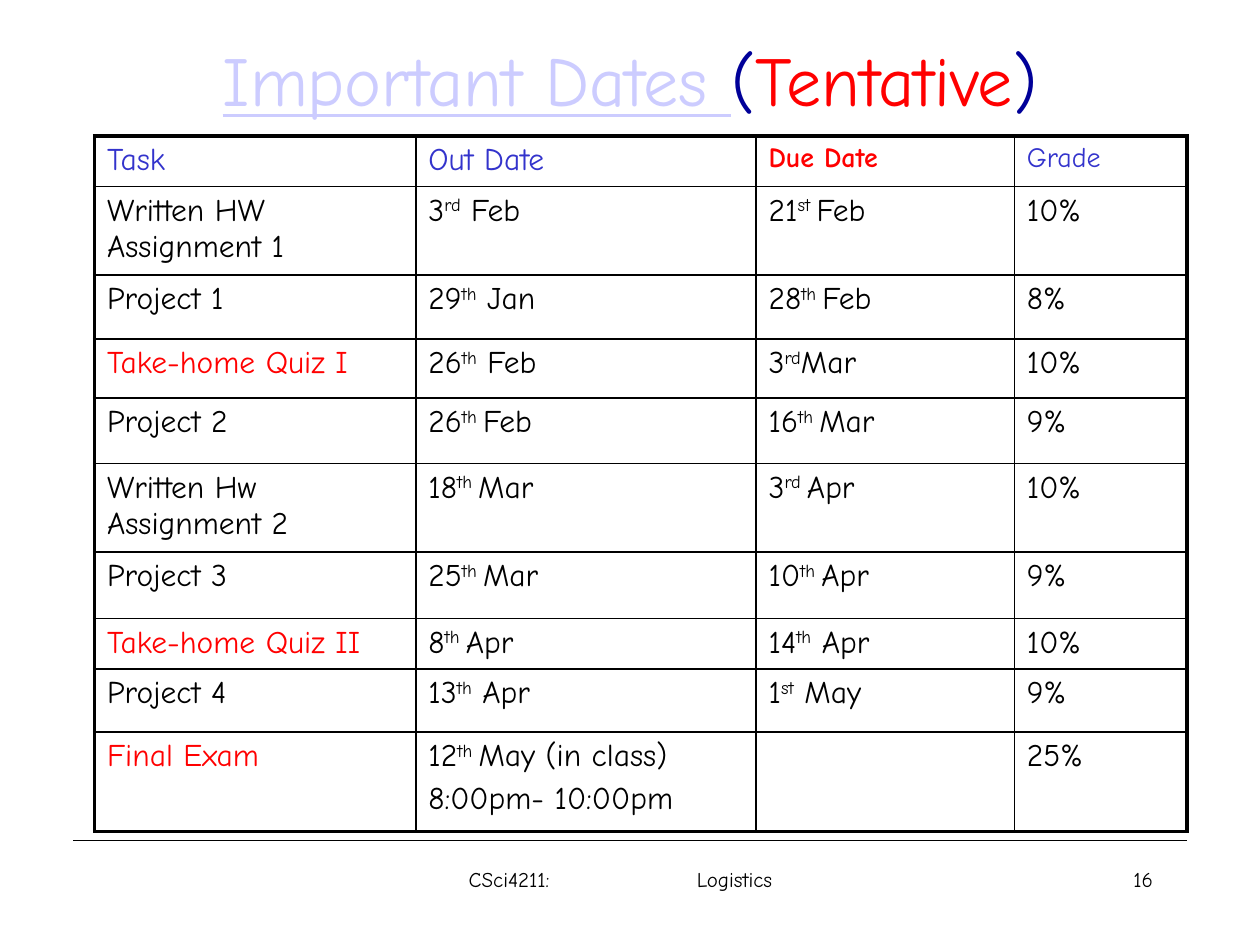
from lxml.etree import SubElement
from pptx import Presentation
from pptx.dml.color import RGBColor
from pptx.enum.shapes import MSO_CONNECTOR
from pptx.enum.text import MSO_ANCHOR, PP_ALIGN
from pptx.oxml.ns import qn
from pptx.util import Inches, Pt

THEME = {
    "font": "Comic Neue",
    "black": "000000", "red": "FF0000", "blue": "3333CC",
    "navy": "000099", "lavender": "CCCCFF",
    "title": 40, "body": 18, "small_header": 16, "footer": 12,
    "thick": 2.25, "thin": 1, "rule": 0.75,
}


def add_run(paragraph, text, size, color, **font_values):
    """Add runs to a paragraph; text between carets is superscript."""
    for index, part in enumerate(text.split("^")):
        if not part:
            continue
        run = paragraph.add_run()
        run.text = part
        values = {"name": THEME["font"], "size": Pt(THEME[size]), **font_values}
        for name, value in values.items():
            setattr(run.font, name, value)
        run.font.color.rgb = RGBColor.from_string(THEME[color])
        if index % 2:
            run.font._element.set("baseline", "30000")


def add_text_box(slide, left, top, width, height, alignment, anchor=MSO_ANCHOR.TOP):
    """Add a wrapping text box and return its frame."""
    box = slide.shapes.add_textbox(Inches(left), Inches(top), Inches(width), Inches(height))
    frame = box.text_frame
    frame.word_wrap = True
    frame.vertical_anchor = anchor
    frame.paragraphs[0].alignment = alignment
    return frame


presentation = Presentation()
presentation.slide_width = Inches(10)
presentation.slide_height = Inches(7.5)
slide = presentation.slides.add_slide(presentation.slide_layouts[6])

# Footer rule
rule = slide.shapes.add_connector(
    MSO_CONNECTOR.STRAIGHT, Inches(0.58), Inches(6.67), Inches(9.42), Inches(6.67))
rule.line.color.rgb = RGBColor.from_string(THEME["black"])
rule.line.width = Pt(THEME["rule"])
SubElement(rule._element.spPr, qn("a:effectLst"))

# Footer: course and topic, parted by a tab stop
footer = add_text_box(slide, 3.33, 6.83, 3.25, 0.5, PP_ALIGN.LEFT)
footer.margin_left = Inches(0.39)
paragraph = footer.paragraphs[0]
add_run(paragraph, "CSci4211:\tLogistics", "footer", "black")
tab_list = SubElement(paragraph._p.get_or_add_pPr(), qn("a:tabLst"))
SubElement(tab_list, qn("a:tab"), pos=str(Inches(1.81)), algn="l")

# Slide number
number = add_text_box(slide, 7.17, 6.83, 2.08, 0.5, PP_ALIGN.RIGHT)
add_run(number.paragraphs[0], "16", "footer", "black")

# Title
title = add_text_box(slide, 0.75, 0, 8.5, 1.25, PP_ALIGN.CENTER, MSO_ANCHOR.MIDDLE)
for text, color, underline in [
    ("Important Dates ", "lavender", True),
    ("(", "navy", False),
    ("Tentative", "red", False),
    (")", "navy", False),
]:
    add_run(title.paragraphs[0], text, "title", color, underline=underline)

# Schedule content: task, out date, due date, grade
schedule = [
    ("Task", "Out Date", "Due Date", "Grade"),
    ("Written HW Assignment 1", "3^rd^ Feb", "21^st ^Feb", "10%"),
    ("Project 1", "29^th^ Jan", "28^th ^Feb", "8%"),
    ("Take-home Quiz I", "26^th^ Feb", "3^rd^Mar", "10%"),
    ("Project 2", "26^th ^Feb", "16^th ^Mar", "9%"),
    ("Written Hw Assignment 2", "18^th ^Mar", "3^rd ^Apr", "10%"),
    ("Project 3", "25^th ^Mar", "10^th ^Apr", "9%"),
    ("Take-home Quiz II", "8^th ^Apr", "14^th^ Apr", "10%"),
    ("Project 4", "13^th^ Apr", "1^st^ May", "9%"),
    ("Final Exam", "12^th ^May (in class)\n8:00pm- 10:00pm", "", "25%"),
]
column_widths = [2.55, 2.7, 2.05, 1.37]
row_heights = [0.4, 0.7, 0.51, 0.47, 0.52, 0.7, 0.53, 0.4, 0.5, 0.79]
header_formats = [("body", "blue", False), ("body", "blue", False),
                  ("small_header", "red", True), ("small_header", "blue", False)]
exams = ("Take-home", "Final")

# Schedule table
table = slide.shapes.add_table(
    len(row_heights), len(column_widths), Inches(0.75), Inches(1.08),
    Inches(sum(column_widths)), Inches(sum(row_heights))).table
table.first_row = False
table.horz_banding = False
for column, width in zip(table.columns, column_widths):
    column.width = Inches(width)
for row, height in zip(table.rows, row_heights):
    row.height = Inches(height)

last_row, last_column = len(row_heights) - 1, len(column_widths) - 1
for row_index, texts in enumerate(schedule):
    for column_index, text in enumerate(texts):
        cell = table.cell(row_index, column_index)

        # Text
        size, color, bold = "body", "black", False
        if row_index == 0:
            size, color, bold = header_formats[column_index]
        elif text.startswith(exams):
            color = "red"
        for line_index, line in enumerate(text.split("\n")):
            frame = cell.text_frame
            paragraph = frame.add_paragraph() if line_index else frame.paragraphs[0]
            paragraph.space_before = Pt(0.2 * THEME[size])
            add_run(paragraph, line, size, color, bold=bold)

        # Borders: thick on the outer frame, thin inside
        properties = cell._tc.get_or_add_tcPr()
        for side, is_outer in [
            ("L", column_index == 0), ("R", column_index == last_column),
            ("T", row_index == 0), ("B", row_index == last_row),
        ]:
            width = Pt(THEME["thick" if is_outer else "thin"])
            border = SubElement(properties, qn(f"a:ln{side}"), w=str(width))
            fill = SubElement(border, qn("a:solidFill"))
            SubElement(fill, qn("a:srgbClr"), val=THEME["black"])
        cell.fill.background()

presentation.save("out.pptx")
